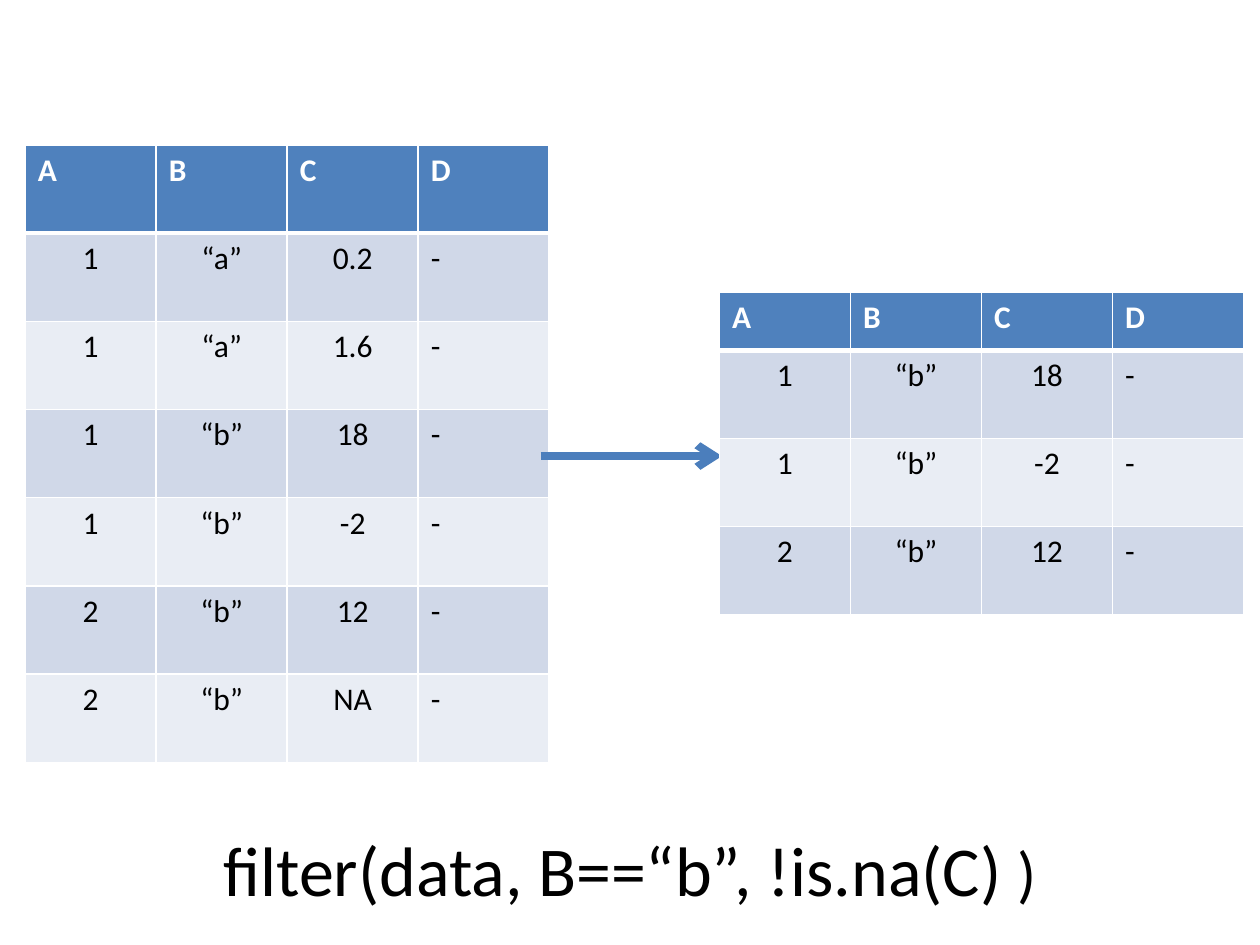
from dataclasses import dataclass

from lxml import etree
from pptx import Presentation
from pptx.dml.color import RGBColor
from pptx.enum.shapes import MSO_CONNECTOR
from pptx.enum.text import MSO_AUTO_SIZE, PP_ALIGN
from pptx.oxml.ns import qn
from pptx.util import Inches, Pt

STRAIGHT = MSO_CONNECTOR.STRAIGHT
LEFT, CENTER = PP_ALIGN.LEFT, PP_ALIGN.CENTER
GROW = MSO_AUTO_SIZE.SHAPE_TO_FIT_TEXT

COLORS = {
    "header": "4F81BD",
    "odd_row": "D0D8E8",
    "even_row": "E9EDF4",
    "rule": "FFFFFF",
    "header_text": "FFFFFF",
    "text": "000000",
    "arrow": "4B7EBC",
}
FONT = "Calibri"
COLUMN_WIDTH = 1.04
ROW_HEIGHT = 0.7
THIN_RULE, HEADER_RULE = 1, 3

HEADINGS = ("A", "B", "C", "D")
DATA_ROWS = (
    ("1", "“a”", "0.2", "-"),
    ("1", "“a”", "1.6", "-"),
    ("1", "“b”", "18", "-"),
    ("1", "“b”", "-2", "-"),
    ("2", "“b”", "12", "-"),
    ("2", "“b”", "NA", "-"),
)
# The same condition as the formula at the foot of the slide
FILTERED_ROWS = tuple(row for row in DATA_ROWS if row[1] == "“b”" and row[2] != "NA")


@dataclass(frozen=True)
class DataTable:
    left: float
    top: float
    header_height: float
    rows: tuple


DATA_TABLES = (
    DataTable(0.2, 1.15, ROW_HEIGHT, DATA_ROWS),
    DataTable(5.71, 2.32, 0.46, FILTERED_ROWS),
)


def rgb(color: str) -> RGBColor:
    return RGBColor.from_string(COLORS[color])


def add_run(paragraph, text: str, color: str, size: float, bold: bool = False) -> None:
    run = paragraph.add_run()
    run.text = text
    font_format = {"name": FONT, "size": Pt(size), "bold": bold}
    for attribute, value in font_format.items():
        setattr(run.font, attribute, value)
    run.font.color.rgb = rgb(color)


def set_borders(cell, top: float, bottom: float) -> None:
    properties = cell._tc.get_or_add_tcPr()
    widths = {"a:lnL": THIN_RULE, "a:lnR": THIN_RULE, "a:lnT": top, "a:lnB": bottom}
    for side, width in widths.items():
        rule = etree.SubElement(properties, qn(side), w=str(Pt(width)))
        fill = etree.SubElement(rule, qn("a:solidFill"))
        etree.SubElement(fill, qn("a:srgbClr"), val=COLORS["rule"])


def add_data_table(slide, spec: DataTable) -> None:
    contents = (HEADINGS, *spec.rows)
    heights = [spec.header_height] + [ROW_HEIGHT] * len(spec.rows)
    table = slide.shapes.add_table(
        len(contents), len(HEADINGS), Inches(spec.left), Inches(spec.top),
        Inches(COLUMN_WIDTH * len(HEADINGS)), Inches(sum(heights)),
    ).table
    for column in table.columns:
        column.width = Inches(COLUMN_WIDTH)

    for r, (values, height) in enumerate(zip(contents, heights)):
        table.rows[r].height = Inches(height)
        is_header = r == 0
        band = "header" if is_header else "odd_row" if r % 2 else "even_row"
        for c, value in enumerate(values):
            cell = table.cell(r, c)
            # Borders come before the fill in the cell properties
            set_borders(
                cell,
                top=HEADER_RULE if r == 1 else THIN_RULE,
                bottom=HEADER_RULE if is_header else THIN_RULE,
            )
            cell.fill.solid()
            cell.fill.fore_color.rgb = rgb(band)
            paragraph = cell.text_frame.paragraphs[0]
            paragraph.alignment = LEFT if is_header or value == "-" else CENTER
            add_run(paragraph, value, "header_text" if is_header else "text", 18, is_header)


def add_arrow(slide, start: float, end: float, y: float) -> None:
    arrow = slide.shapes.add_connector(
        STRAIGHT, Inches(start), Inches(y), Inches(end), Inches(y)
    )
    arrow.line.color.rgb = rgb("arrow")
    arrow.line.width = Pt(4.5)
    etree.SubElement(arrow.line._get_or_add_ln(), qn("a:tailEnd"), type="arrow")
    etree.SubElement(arrow._element.spPr, qn("a:effectLst"))


def add_formula(slide) -> None:
    formula = slide.shapes.add_textbox(Inches(1.64), Inches(6.51), Inches(6.72), Inches(0.77))
    frame_format = {"word_wrap": False, "auto_size": GROW}
    for attribute, value in frame_format.items():
        setattr(formula.text_frame, attribute, value)
    paragraph = formula.text_frame.paragraphs[0]
    paragraph.alignment = CENTER
    add_run(paragraph, "filter(data, B==“b”, !is.na(C) ", "text", 40)
    add_run(paragraph, ")", "text", 36)


def main() -> None:
    presentation = Presentation()
    presentation.slide_width = Inches(10)
    presentation.slide_height = Inches(7.5)
    slide = presentation.slides.add_slide(presentation.slide_layouts[6])

    # Data, the arrow to its result, and the filtered result
    data, result = DATA_TABLES
    add_data_table(slide, data)
    add_arrow(slide, 4.29, 5.73, 3.62)
    add_data_table(slide, result)

    # Filter call
    add_formula(slide)
    presentation.save("out.pptx")


if __name__ == "__main__":
    main()
